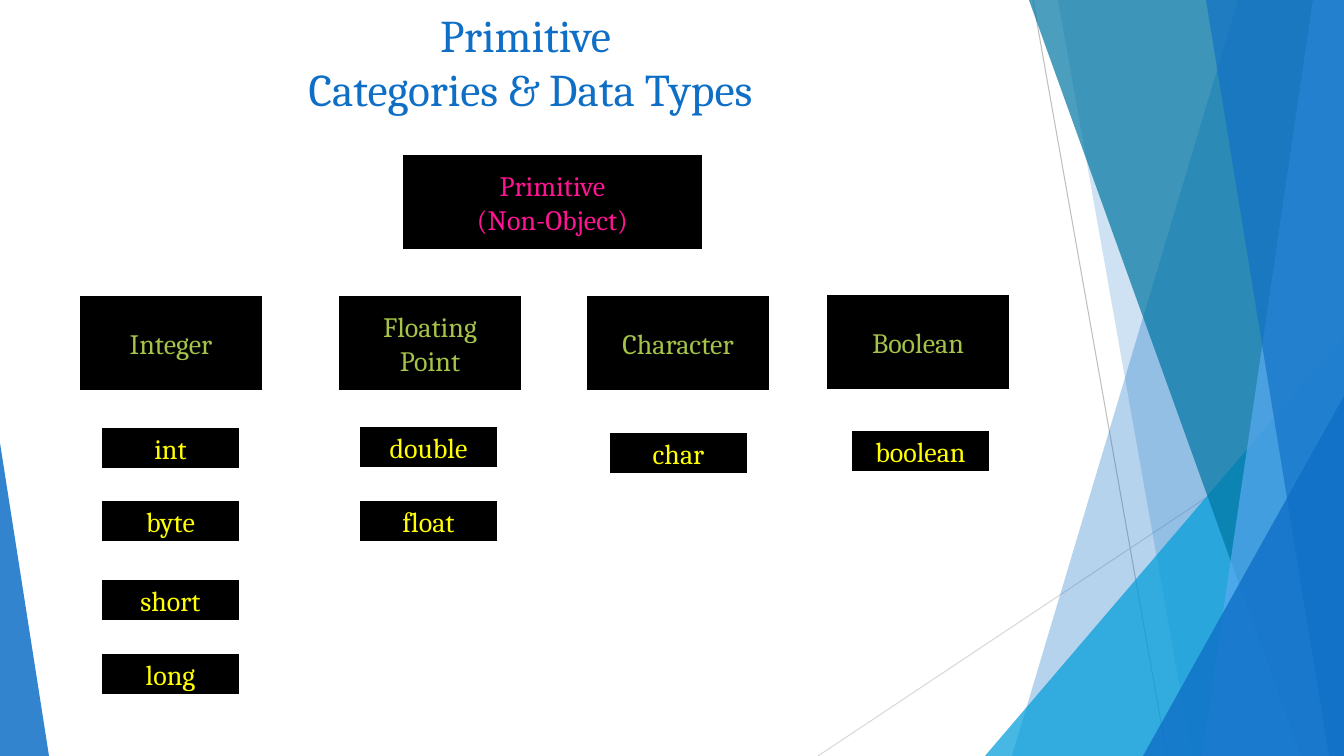
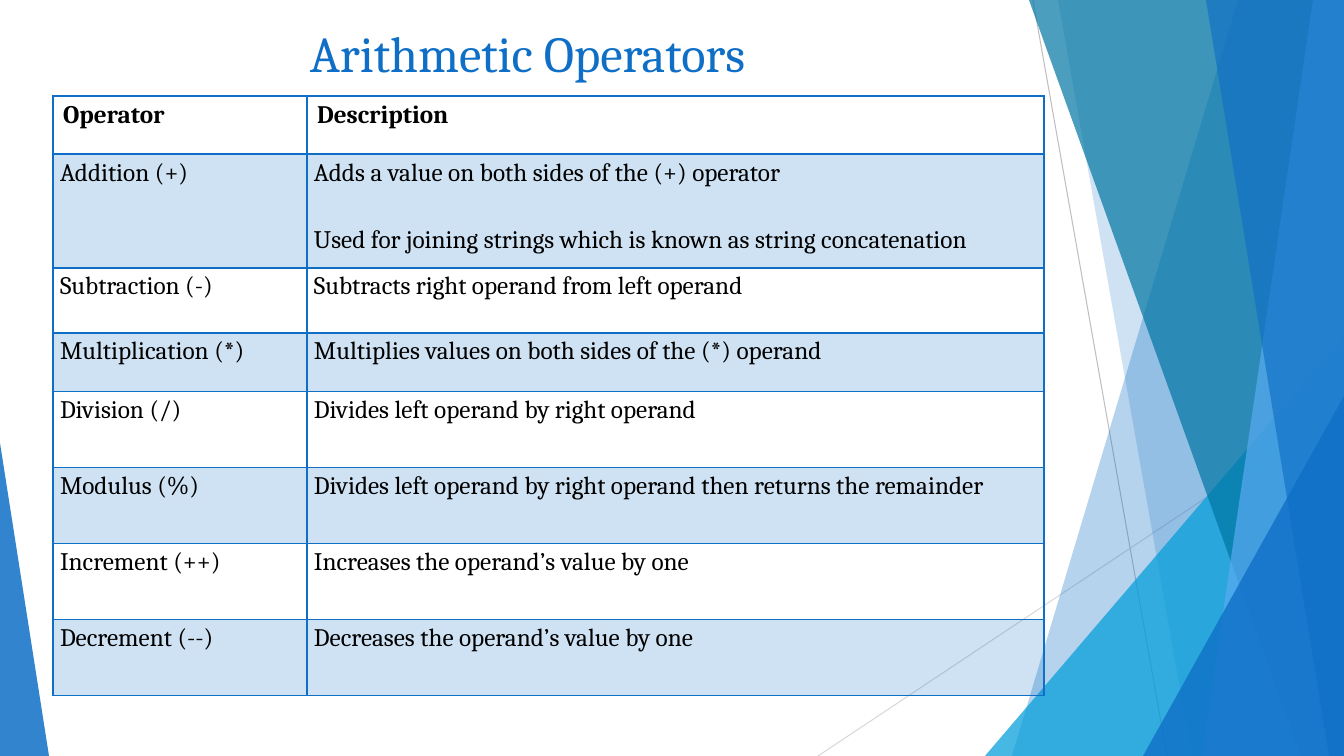
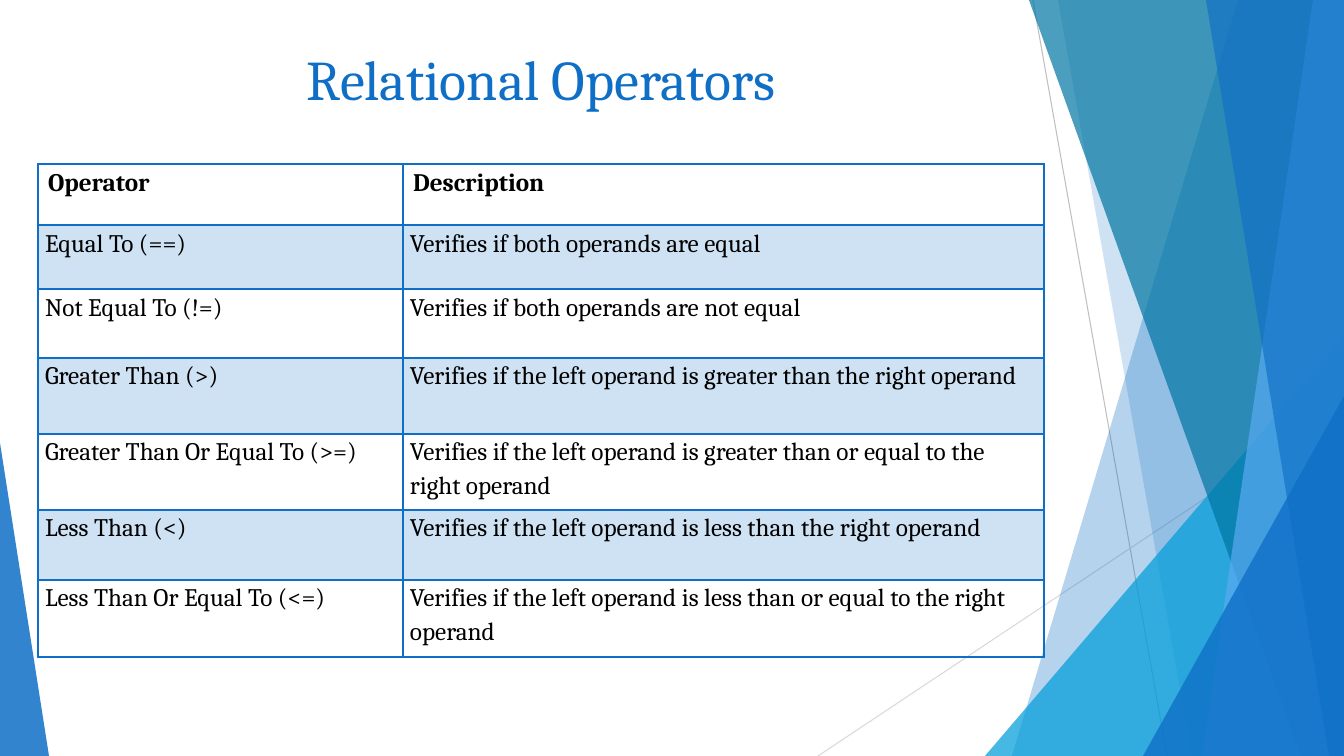
from pptx import Presentation
from pptx.dml.color import RGBColor
from pptx.enum.shapes import MSO_CONNECTOR, MSO_SHAPE
from pptx.enum.text import MSO_ANCHOR, PP_ALIGN
from pptx.oxml import parse_xml
from pptx.oxml.ns import nsdecls, qn
from pptx.util import Emu, Pt
from lxml import etree

LINE = MSO_CONNECTOR.STRAIGHT
RECT = MSO_SHAPE.RECTANGLE
TRI = MSO_SHAPE.ISOSCELES_TRIANGLE
TOP, MIDDLE = MSO_ANCHOR.TOP, MSO_ANCHOR.MIDDLE
LEFT, CENTER = PP_ALIGN.LEFT, PP_ALIGN.CENTER

BLUE = RGBColor(0x0F, 0x6F, 0xC6)
SKY = RGBColor(0x59, 0xAA, 0xF2)
CYAN = RGBColor(0x00, 0x9D, 0xD9)
TEAL = RGBColor(0x00, 0x76, 0xA3)
BLACK = RGBColor(0x00, 0x00, 0x00)
WHITE = RGBColor(0xFF, 0xFF, 0xFF)
GREEN = RGBColor(0xA5, 0xC2, 0x49)
YELLOW = RGBColor(0xFF, 0xFF, 0x00)
PINK = RGBColor(0xFF, 0x14, 0x93)
GREY = RGBColor(0xBF, 0xBF, 0xBF)
PALE = RGBColor(0xD9, 0xD9, 0xD9)

FONT = "Cambria"
WIDE, HIGH = 1344, 756

# Bands: top left, top right, bottom right, bottom left x; colour, opacity
BACK = [(1238, 1012, BLUE, 30), (1058, 1192, BLUE, 20)]
FRONT = [(1029, 1301, TEAL, 70), (1313, 1202, SKY, 70), (1206, 1329, BLUE, 65)]

# Category: name, box place, left of its types, types with their tops
GROUPS = [
    ("Integer", 79, 295, 101,
     [("int", 427), ("byte", 500), ("short", 579), ("long", 653)]),
    ("Floating\nPoint", 338, 295, 359, [("double", 426), ("float", 500)]),
    ("Character", 586, 295, 609, [("char", 432)]),
    ("Boolean", 826, 294, 851, [("boolean", 430)]),
]

# Table rows: operator, description, height
HEAD = ("Operator", "Description")
MATHS = [
    (*HEAD, 58),
    ("Addition (+)", "Adds a value on both sides of the (+) operator\n"
     "Used for joining strings which is known as string concatenation", 114),
    ("Subtraction (-)", "Subtracts right operand from left operand", 65),
    ("Multiplication (*)",
     "Multiplies values on both sides of the (*) operand", 59),
    ("Division (/)", "Divides left operand by right operand", 76),
    ("Modulus (%)",
     "Divides left operand by right operand then returns the remainder", 76),
    ("Increment (++)", "Increases the operand’s value by one", 76),
    ("Decrement (--)", "Decreases the operand’s value by one", 76),
]
TESTS = [
    (*HEAD, 61),
    ("Equal To (==)", "Verifies if both operands are equal", 64),
    ("Not Equal To (!=)", "Verifies if both operands are not equal", 69),
    ("Greater Than (>)",
     "Verifies if the left operand is greater than the right operand", 76),
    ("Greater Than Or Equal To (>=)", "Verifies if the left operand is "
     "greater than or equal to the right operand", 76),
    ("Less Than (<)",
     "Verifies if the left operand is less than the right operand", 70),
    ("Less Than Or Equal To (<=)", "Verifies if the left operand is "
     "less than or equal to the right operand", 77),
]


def px(n):
    return Emu(round(n * 12192000 / WIDE))


def area(*sides):
    return [px(n) for n in sides]


def tint(fill, color, alpha):
    """Solid fill with an opacity in percent."""
    fill.solid()
    fill.fore_color.rgb = color
    node = fill._xPr.find(qn("a:solidFill"))[0]
    etree.SubElement(node, qn("a:alpha")).set("val", str(alpha * 1000))


def write(frame, text, size, color, align=LEFT, bold=False):
    frame.text = text
    for para in frame.paragraphs:
        para.alignment = align
        for run in para.runs:
            font = run.font
            font.name, font.size, font.bold = FONT, Pt(size), bold
            font.color.rgb = color


# Background
def rule(slide, x1, y1, x2, y2, color):
    line = slide.shapes.add_connector(LINE, *area(x1, y1, x2, y2))
    line.line.color.rgb = color
    line.line.width = Pt(0.75)
    etree.SubElement(line._element.spPr, qn("a:effectLst"))


def flat(shape, color, alpha):
    shape.shadow.inherit = False
    shape.line.fill.background()
    tint(shape.fill, color, alpha)


def band(slide, top, foot, color, alpha):
    """Area from a slanted left edge to the right side of the slide."""
    form = slide.shapes.build_freeform(px(top), 0)
    form.add_line_segments(
        [area(WIDE, 0), area(WIDE, HIGH), area(foot, HIGH)])
    flat(form.convert_to_shape(), color, alpha)


def wedge(slide, left, top, width, peak, color, alpha):
    """Triangle that stands on the bottom of the slide."""
    shape = slide.shapes.add_shape(TRI, *area(left, top, width, HIGH - top))
    shape.adjustments[0] = peak
    flat(shape, color, alpha)


def backdrop(slide):
    """Draw the shared art and move it to the layout of the slide."""
    rule(slide, 1033, 0, 1167, HIGH, GREY)
    rule(slide, WIDE, 406, 818, HIGH, PALE)
    for item in BACK:
        band(slide, *item)
    wedge(slide, 985, 336, 359, 1, CYAN, 72)
    for item in FRONT:
        band(slide, *item)
    wedge(slide, 1143, 396, 201, 1, BLUE, 80)
    wedge(slide, 0, 443, 49, 0, BLUE, 85)
    tree = slide.slide_layout.shapes._spTree
    for shape in list(slide.shapes):
        tree.append(shape._element)


# Content
def title(slide, text, size, *sides):
    frame = slide.shapes.add_textbox(*area(*sides)).text_frame
    frame.word_wrap = True
    frame.vertical_anchor = TOP
    write(frame, text, size, BLUE, CENTER)


def box(slide, text, color, *sides):
    shape = slide.shapes.add_shape(RECT, *area(*sides))
    shape.shadow.inherit = False
    shape.fill.solid()
    shape.fill.fore_color.rgb = BLACK
    shape.line.color.rgb = WHITE
    shape.line.width = Pt(1.5)
    shape.text_frame.vertical_anchor = MIDDLE
    write(shape.text_frame, text, 20, color, CENTER)


def border(cell, side, width):
    cell._tc.get_or_add_tcPr().append(parse_xml(
        f'<a:ln{side} {nsdecls("a")} w="{Pt(width)}"><a:solidFill>'
        f'<a:srgbClr val="{BLUE}"/></a:solidFill></a:ln{side}>'))


def style(cell, text, row):
    write(cell.text_frame, text, 18, BLACK, bold=row == 0)
    if row:
        cell.margin_left = cell.margin_right = px(7)
        cell.margin_top = cell.margin_bottom = 0
        for num, para in enumerate(cell.text_frame.paragraphs):
            para.line_spacing = 1.15
            para.space_before = Pt(24 if num else 0)
    for side in "LRTB":
        heavy = (row, side) in ((0, "B"), (1, "T"))
        border(cell, side, 2 if heavy else 1)
    if row % 2:
        tint(cell.fill, BLUE, 20)
    else:
        cell.fill.background()


def grid(slide, left, top, cols, rows):
    high = sum(row[-1] for row in rows)
    table = slide.shapes.add_table(
        len(rows), len(cols), *area(left, top, sum(cols), high)).table
    table.first_row = table.horz_banding = False
    for col, width in zip(table.columns, cols):
        col.width = px(width)
    for num, (*texts, height) in enumerate(rows):
        table.rows[num].height = px(height)
        for cell, text in zip(table.rows[num].cells, texts):
            style(cell, text, num)


# Slides
def types(slide):
    title(slide, "Primitive \nCategories & Data Types", 32.4, 43, 2, 975, 117)
    box(slide, "Primitive\n(Non-Object)", PINK, 402, 154, 301, 96)
    for name, left, top, inner, kinds in GROUPS:
        box(slide, name, GREEN, left, top, 184, 96)
        for kind, y in kinds:
            box(slide, kind, YELLOW, inner, y, 139, 42)


def maths(slide):
    title(slide, "Arithmetic Operators", 36, 53, 17, 949, 63)
    grid(slide, 53, 96, (254, 737), MATHS)


def tests(slide):
    title(slide, "Relational Operators", 40, 38, 40, 1006, 92)
    grid(slide, 38, 164, (365, 641), TESTS)


def main():
    deck = Presentation()
    deck.slide_width, deck.slide_height = area(WIDE, HIGH)
    blank = deck.slide_layouts[6]
    slides = [deck.slides.add_slide(blank) for _ in range(3)]
    backdrop(slides[0])
    for fill, slide in zip((types, maths, tests), slides):
        fill(slide)
    deck.save("out.pptx")


if __name__ == "__main__":
    main()
